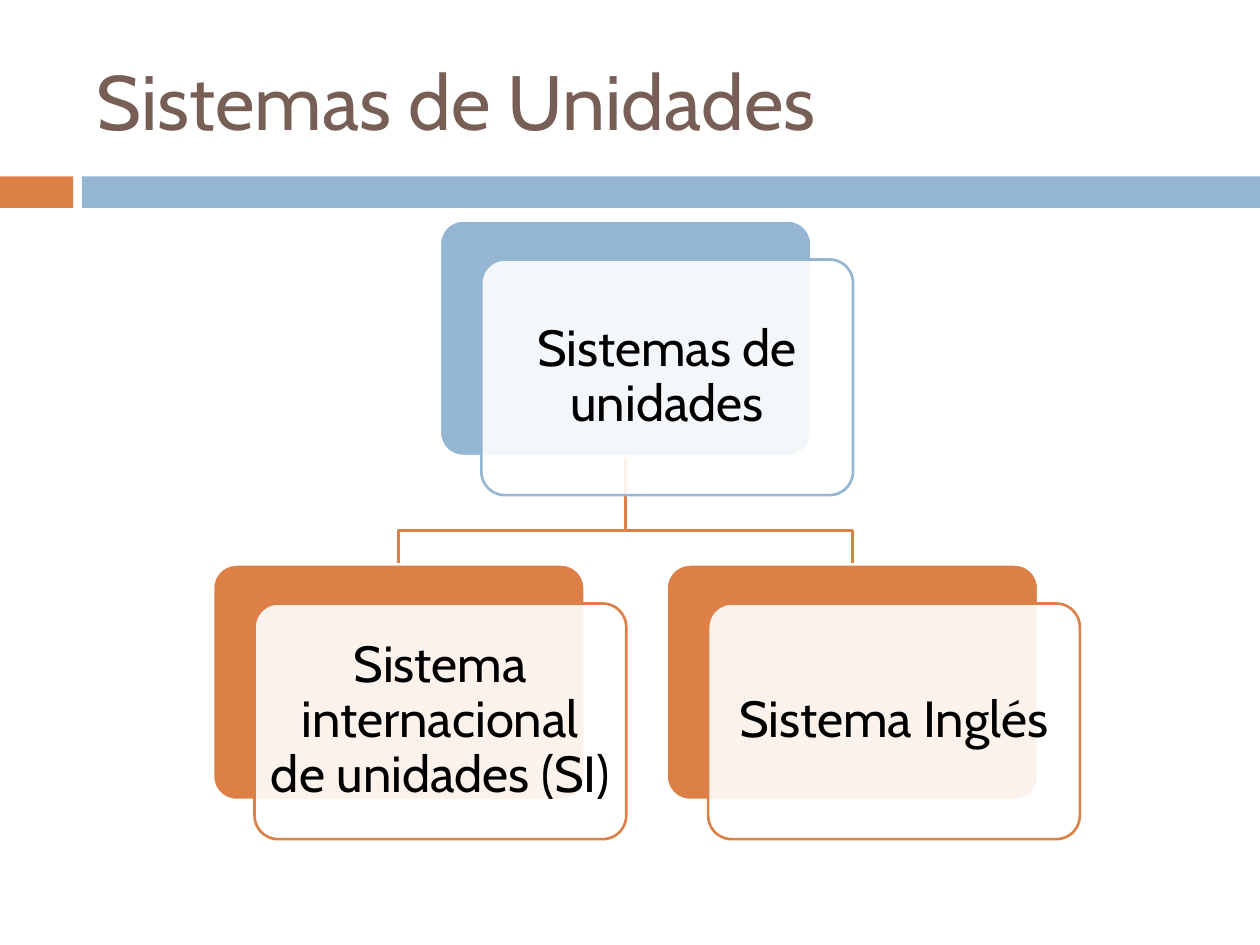
from lxml import etree
from pptx import Presentation
from pptx.dml.color import RGBColor
from pptx.enum import shapes, text
from pptx.oxml.ns import qn
from pptx.util import Inches, Pt

FONT = "Cabin"
BLUE, ORANGE, BROWN = "94B6D2", "DD8047", "775F55"
WHITE, BLACK = "FFFFFF", "000000"

TITLE = "Sistemas de Unidades"
BANDS = [(0, 0.58, ORANGE), (0.65, 9.35, BLUE)]  # left, width, colour
ROOT = ("Sistemas de unidades", 3.49, 1.75, BLUE)  # wording, left, top, colour
CHILDREN = [
    ("Sistema internacional de unidades (SI)", 1.69, 4.48, ORANGE),
    ("Sistema Inglés", 5.29, 4.48, ORANGE),
]
CARD_WIDTH, CARD_HEIGHT = 2.95, 1.87
SHIFT_X, SHIFT_Y = 0.33, 0.31  # front card relative to back card
ELBOW_Y = 4.21


def color(value):
    return RGBColor.from_string(value)


def write(box, wording, size, ink, align=text.PP_ALIGN.LEFT, spacing=1.0, inset=(0.1, 0.05)):
    frame = box.text_frame
    frame.word_wrap = True
    frame.vertical_anchor = text.MSO_ANCHOR.MIDDLE
    frame.margin_left = frame.margin_right = Inches(inset[0])
    frame.margin_top = frame.margin_bottom = Inches(inset[1])
    para = frame.paragraphs[0]
    para.alignment = align
    para.line_spacing = spacing
    span = para.add_run()
    span.text = wording
    span.font.name = FONT
    span.font.size = Pt(size)
    span.font.color.rgb = color(ink)


def add_block(slide, kind, left, top, width, height, fill, line=None, opacity=None):
    block = slide.shapes.add_shape(kind, *map(Inches, (left, top, width, height)))
    block.shadow.inherit = False
    block.fill.solid()
    block.fill.fore_color.rgb = color(fill)
    if opacity is not None:
        solid = block.fill._xPr.find(qn("a:solidFill"))
        etree.SubElement(solid[0], qn("a:alpha"), val=str(opacity * 1000))
    if line:
        block.line.color.rgb = color(line)
        block.line.width = Pt(1.5)
    else:
        block.line.fill.background()
    if kind == shapes.MSO_SHAPE.ROUNDED_RECTANGLE:
        block.adjustments[0] = 0.1
    return block


def add_node(slide, wording, left, top, accent):
    """Draw a coloured back card and the translucent labelled card over it."""
    kind = shapes.MSO_SHAPE.ROUNDED_RECTANGLE
    add_block(slide, kind, left, top, CARD_WIDTH, CARD_HEIGHT, accent, WHITE)
    front = add_block(slide, kind, left + SHIFT_X, top + SHIFT_Y,
                      CARD_WIDTH, CARD_HEIGHT, WHITE, accent, opacity=90)
    write(front, wording, 29, BLACK, align=text.PP_ALIGN.CENTER, spacing=0.9,
          inset=(0.06, 0.06))


def add_branch(slide, parent, child):
    """Draw the elbow line from the parent's bottom to the child's top."""
    start_x, end_x = (node[1] + CARD_WIDTH / 2 for node in (parent, child))
    start_y, end_y = parent[2] + CARD_HEIGHT, child[2]
    builder = slide.shapes.build_freeform(Inches(start_x), Inches(start_y))
    corners = [(start_x, ELBOW_Y), (end_x, ELBOW_Y), (end_x, end_y)]
    builder.add_line_segments([(Inches(x), Inches(y)) for x, y in corners], close=False)
    branch = builder.convert_to_shape()
    branch.shadow.inherit = False
    branch.fill.background()
    branch.line.color.rgb = color(child[3])
    branch.line.width = Pt(1.5)


def main():
    deck = Presentation()
    deck.slide_width, deck.slide_height = Inches(10), Inches(7.5)
    slide = deck.slides.add_slide(deck.slide_layouts[6])

    for left, width, fill in BANDS:
        add_block(slide, shapes.MSO_SHAPE.RECTANGLE, left, 1.4, width, 0.25, fill)
    title = slide.shapes.add_textbox(*map(Inches, (0.67, 0.25, 8.92, 1.08)))
    write(title, TITLE, 44, BROWN)

    for child in CHILDREN:
        add_branch(slide, ROOT, child)
    for node in [ROOT, *CHILDREN]:
        add_node(slide, *node)

    deck.save("out.pptx")


if __name__ == "__main__":
    main()
